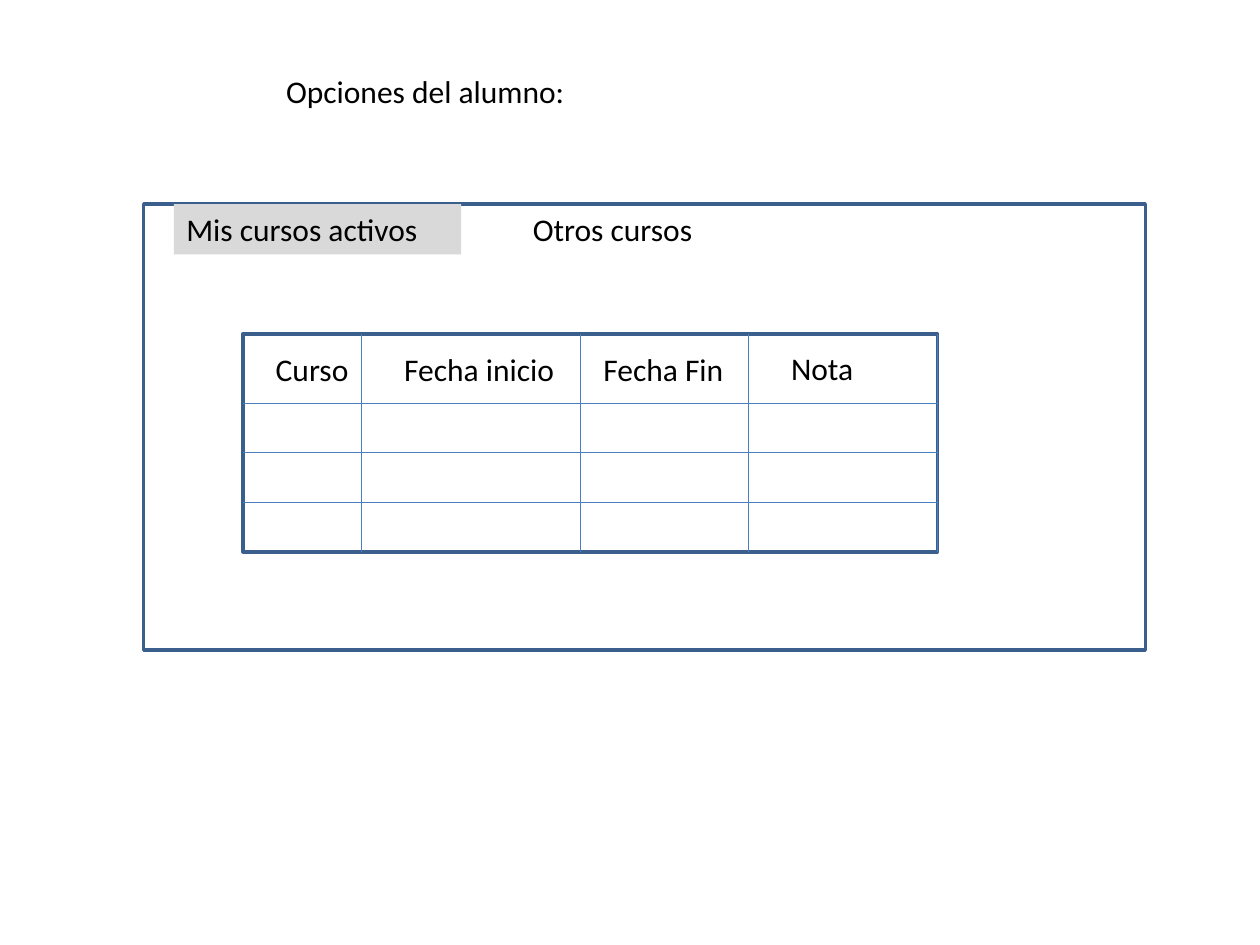
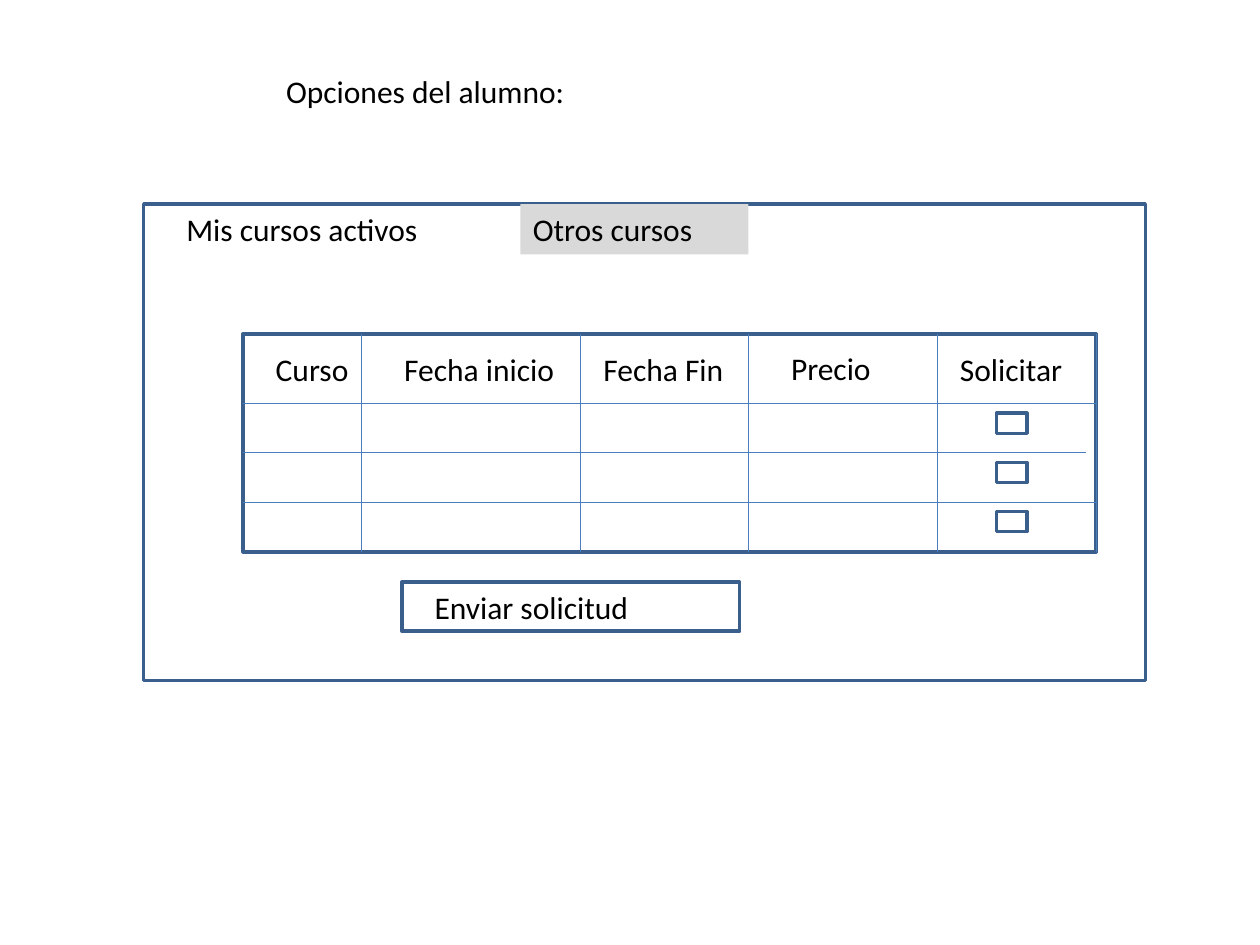
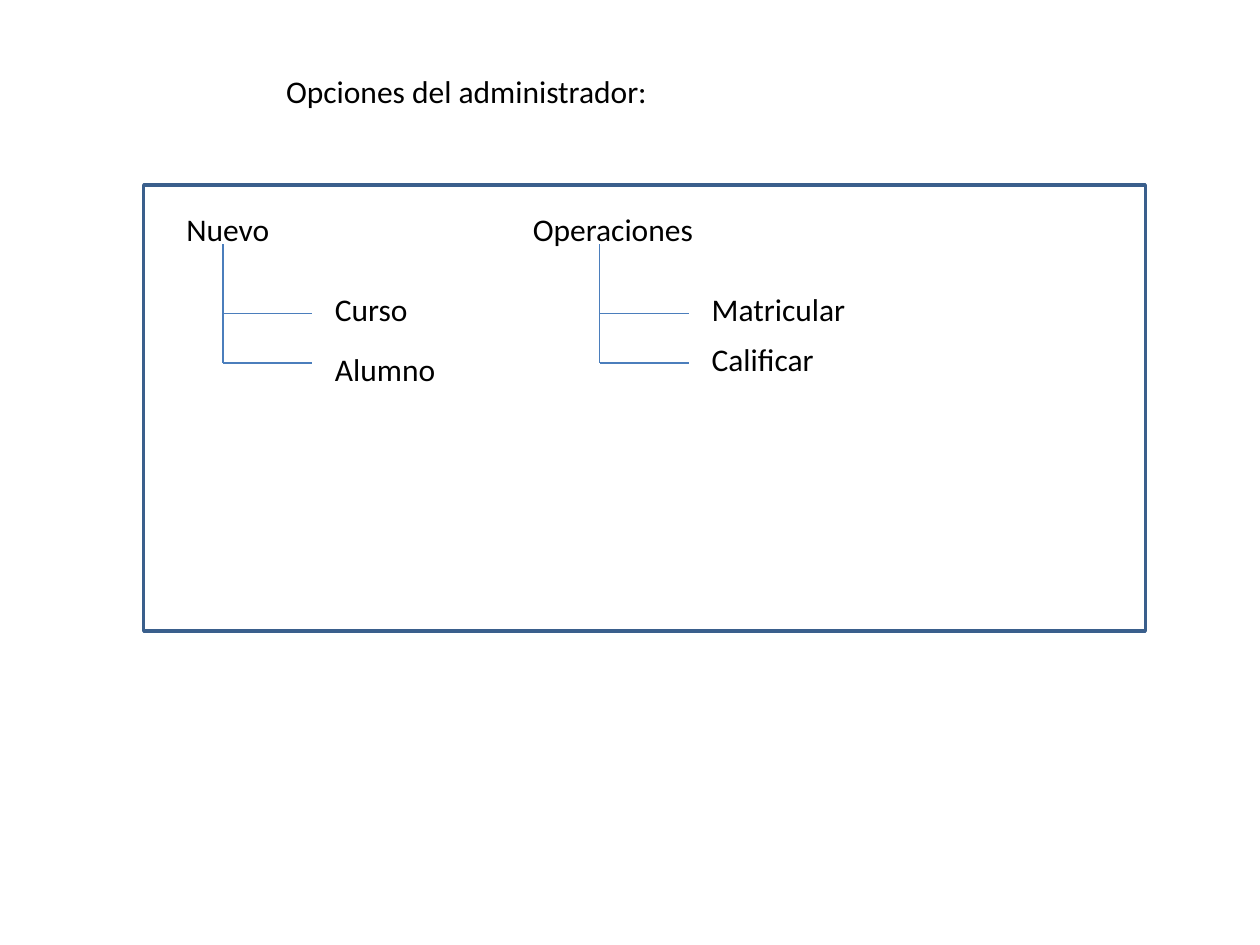
import pptx
import pptx.dml.color
import pptx.enum.shapes
import pptx.enum.text
import pptx.oxml.ns
import pptx.util
from lxml import etree

Inches = pptx.util.Inches

# Shared style
FONT = {"name": "Calibri", "size": pptx.util.Pt(18), "bold": False}
FRAME = {"color": "3A5F8C", "width": 2}
RULE = {"color": "4B7EBC", "width": 0.75}
BLACK, GREY = "000000", "D9D9D9"
TEXT_H = 0.4

# Shared positions
PANEL_X, PANEL_W = 1.14, 7.95
GRID_X, GRID_TOP, GRID_BOTTOM = 1.93, 2.65, 4.38
ROW_LINES = [3.2, 3.59, 3.99]
COLUMN_LINES = [2.87, 4.61, 5.94, 7.44]
MENUS = [(1.38, 2.28), (4.13, 1.81)]
HEADERS = [("Curso", 2.09, 2.73, 0.94), ("Fecha inicio", 3.11, 2.73, 1.42),
           ("Fecha Fin", 4.69, 2.73, 1.42)]


def rgb(color):
    return pptx.dml.color.RGBColor.from_string(color)


def style_line(line, style):
    line.color.rgb = rgb(style["color"])
    line.width = pptx.util.Pt(style["width"])


def write(sp, text):
    tf = sp.text_frame
    settings = {"word_wrap": True,
                "auto_size": pptx.enum.text.MSO_AUTO_SIZE.NONE,
                "vertical_anchor": pptx.enum.text.MSO_ANCHOR.TOP,
                "margin_left": Inches(0.1), "margin_right": Inches(0.1),
                "margin_top": Inches(0.05), "margin_bottom": Inches(0.05)}
    for name, value in settings.items():
        setattr(tf, name, value)
    p = tf.paragraphs[0]
    p.alignment = pptx.enum.text.PP_ALIGN.LEFT
    r = p.add_run()
    r.text = text
    for name, value in FONT.items():
        setattr(r.font, name, value)
    r.font.color.rgb = rgb(BLACK)


def add_label(s, text, x, y, w):
    sp = s.shapes.add_textbox(Inches(x), Inches(y), Inches(w), Inches(TEXT_H))
    write(sp, text)


def add_rect(s, x, y, w, h, fill=None):
    """An outlined frame, or a filled block without outline."""
    sp = s.shapes.add_shape(pptx.enum.shapes.MSO_SHAPE.RECTANGLE,
                            Inches(x), Inches(y), Inches(w), Inches(h))
    sp.shadow.inherit = False
    if fill:
        sp.fill.solid()
        sp.fill.fore_color.rgb = rgb(fill)
        sp.line.fill.background()
    else:
        sp.fill.background()
        style_line(sp.line, FRAME)
    return sp


def add_rule(s, x1, y1, x2, y2):
    sp = s.shapes.add_connector(pptx.enum.shapes.MSO_CONNECTOR.STRAIGHT,
                                Inches(x1), Inches(y1), Inches(x2), Inches(y2))
    style_line(sp.line, RULE)
    etree.SubElement(sp._element.spPr, pptx.oxml.ns.qn("a:effectLst"))


def add_page(prs, title, panel_y, panel_h):
    """A slide with its title and the large panel."""
    s = prs.slides.add_slide(prs.slide_layouts[5])
    sp = s.shapes.title
    box = {"left": 2.17, "top": 0.52, "width": 3.54, "height": TEXT_H}
    for name, value in box.items():
        setattr(sp, name, Inches(value))
    write(sp, title)
    add_rect(s, PANEL_X, panel_y, PANEL_W, panel_h)
    return s


def add_tabs(s, active):
    for i, text in enumerate(["Mis cursos activos", "Otros cursos"]):
        x, w = MENUS[i]
        if i == active:
            write(add_rect(s, x, 1.62, w, TEXT_H, GREY), text)
        else:
            add_label(s, text, x, 1.62, w)


def add_course_grid(s, right, extra_headers, row_ends):
    add_rect(s, GRID_X, GRID_TOP, right - GRID_X, GRID_BOTTOM - GRID_TOP)
    for header in HEADERS + extra_headers:
        add_label(s, *header)
    for y, end in zip(ROW_LINES, row_ends):
        add_rule(s, GRID_X, y, end, y)
    for x in sorted({*COLUMN_LINES, right}):
        add_rule(s, x, GRID_TOP, x, GRID_BOTTOM)


def add_tree(s, menu, root, x, branches):
    """A menu entry with two branches below it."""
    menu_x, menu_w = menu
    add_label(s, root, menu_x, 1.62, menu_w)
    add_rule(s, x, 1.94, x, 2.88)
    for y, (text, text_y, w) in zip([2.49, 2.88], branches):
        add_rule(s, x, y, x + 0.71, y)
        add_label(s, text, x + 0.79, text_y, w)


def main():
    prs = pptx.Presentation()
    prs.slide_width, prs.slide_height = Inches(10), Inches(7.5)

    # Student: active courses
    s = add_page(prs, "Opciones del alumno:", 1.62, 3.54)
    add_tabs(s, 0)
    add_course_grid(s, 7.44, [("Nota", 6.18, 2.72, 1.42)], [7.44] * 3)

    # Student: other courses, with check boxes and a send button
    s = add_page(prs, "Opciones del alumno:", 1.62, 3.78)
    add_tabs(s, 1)
    add_course_grid(s, 8.7, [("Precio", 6.18, 2.72, 1.1),
                             ("Solicitar", 7.52, 2.73, 1.1)], [8.7, 8.62, 8.7])
    for row in range(3):
        add_rect(s, 7.91, 3.28 + 0.39 * row, 0.24, 0.16)
    add_rect(s, 3.19, 4.62, 2.68, 0.39)
    add_label(s, "Enviar solicitud", 3.35, 4.62, 2.05)

    # Administrator: menu trees
    s = add_page(prs, "Opciones del administrador:", 1.47, 3.54)
    add_tree(s, MENUS[0], "Nuevo", 1.77,
             [("Curso", 2.25, 0.79), ("Alumno", 2.73, 1.18)])
    add_tree(s, MENUS[1], "Operaciones", 4.76,
             [("Matricular", 2.25, 1.73), ("Calificar", 2.65, 1.73)])

    prs.save("out.pptx")


if __name__ == "__main__":
    main()
